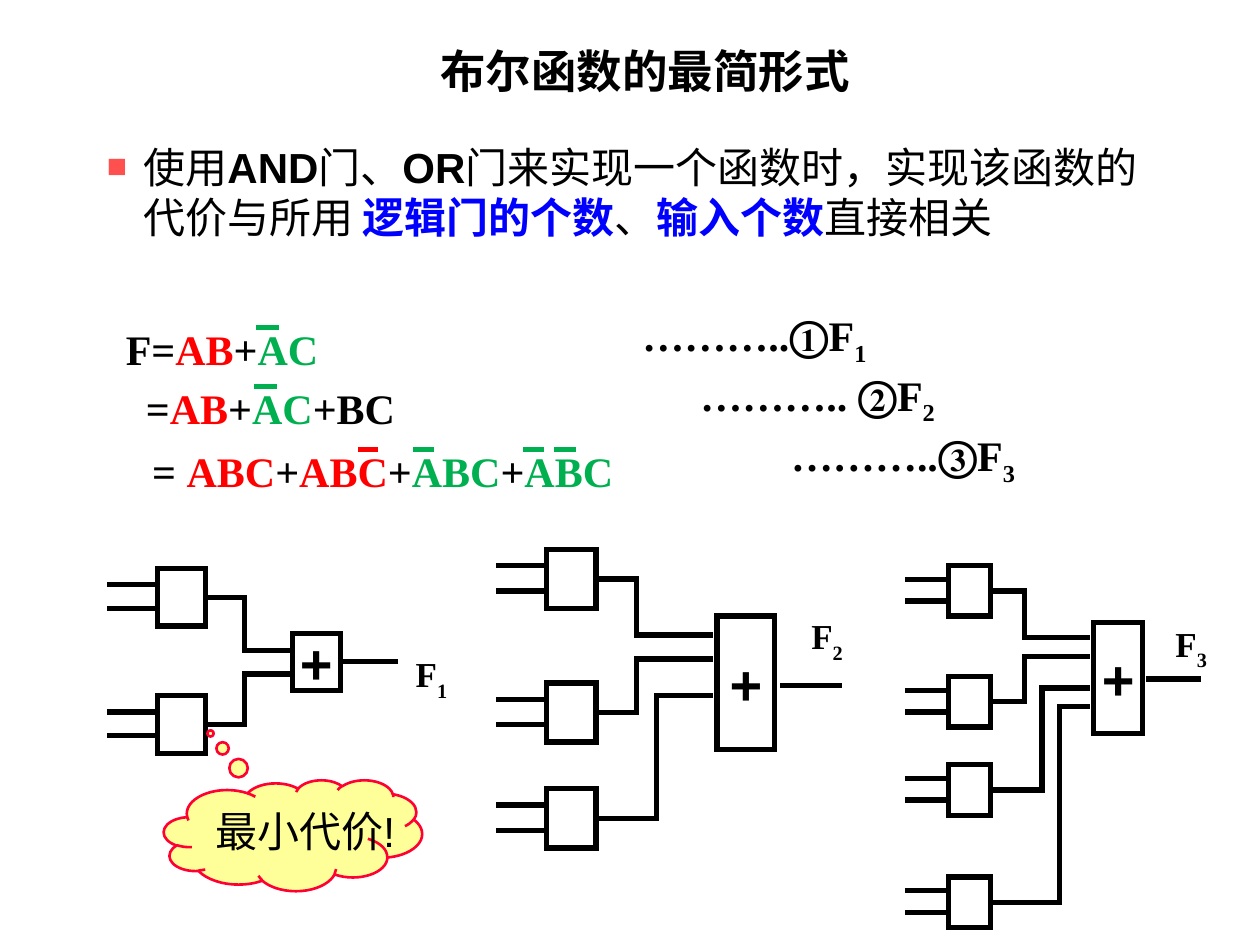
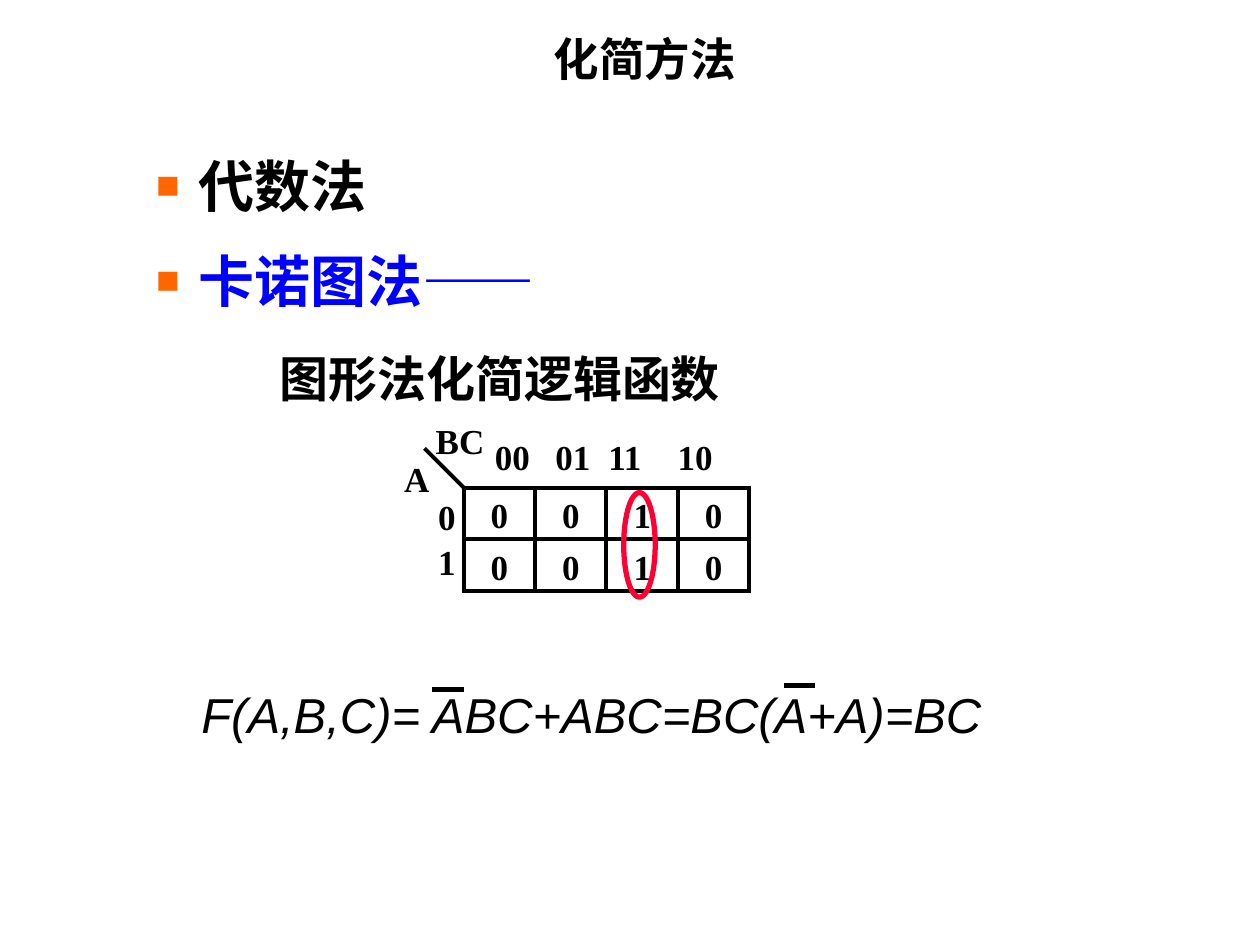
from lxml import etree
from pptx import Presentation
from pptx import util as u
from pptx.dml.color import RGBColor
from pptx.enum import shapes, text
from pptx.oxml.ns import qn

COLORS = {
    "ink": "000000", "red": "FF0000", "green": "00B050", "blue": "0000FF",
    "coral": "FF5050", "orange": "FF6600", "crimson": "FF0033", "cream": "FFFF99",
}
SANS, SERIF = "Arial", "Times New Roman"


def rgb(name):
    """Return the palette colour called name."""
    return RGBColor.from_string(COLORS[name])


def add_run(paragraph, words, size, font=SANS, color="ink", bold=False, italic=False, base=0):
    """Append one formatted run; base is the baseline shift in percent."""
    run = paragraph.add_run()
    run.text = words
    run.font.name, run.font.size = font, u.Pt(size)
    run.font.bold, run.font.italic = bold, italic
    run.font.color.rgb = rgb(color)
    if base:
        run._r.get_or_add_rPr().set("baseline", str(base * 1000))


def add_text(slide, box, runs, size, align=text.PP_ALIGN.LEFT, **style):
    """Add a one-paragraph text box; each run is (words, overrides)."""
    frame = slide.shapes.add_textbox(*map(u.Inches, box)).text_frame
    frame.word_wrap = True
    paragraph = frame.paragraphs[0]
    paragraph.alignment = align
    for words, changes in runs:
        add_run(paragraph, words, size, **{**style, **changes})
    return frame


def add_bullet(paragraph, indent, color, percent):
    """Give a paragraph a hanging square bullet."""
    props = paragraph._p.get_or_add_pPr()
    props.set("marL", str(u.Inches(indent)))
    props.set("indent", str(u.Inches(-indent)))
    tint = etree.SubElement(props, qn("a:buClr"))
    etree.SubElement(tint, qn("a:srgbClr")).set("val", COLORS[color])
    etree.SubElement(props, qn("a:buSzPct")).set("val", str(percent * 1000))
    etree.SubElement(props, qn("a:buFont")).set("typeface", SANS)
    etree.SubElement(props, qn("a:buChar")).set("char", "■")


def add_path(slide, points, color="ink", width=3):
    """Join successive points with square-ended straight lines."""
    for start, end in zip(points, points[1:]):
        line = slide.shapes.add_connector(
            shapes.MSO_CONNECTOR.STRAIGHT, *map(u.Inches, start + end))
        line.line.color.rgb = rgb(color)
        line.line.width = u.Pt(width)
        props = line._element.spPr
        props.find(qn("a:ln")).set("cap", "sq")
        etree.SubElement(props, qn("a:effectLst"))


def add_outline(slide, kind, box, color="ink", width=3, fill=None):
    """Add an outlined preset shape, hollow unless a fill is named."""
    shape = slide.shapes.add_shape(kind, *map(u.Inches, box))
    shape.shadow.inherit = False
    shape.line.color.rgb = rgb(color)
    shape.line.width = u.Pt(width)
    if fill:
        shape.fill.solid()
        shape.fill.fore_color.rgb = rgb(fill)
    else:
        shape.fill.background()
    return shape


def add_box(slide, box, width=3):
    """Add a hollow rectangle with sharp corners."""
    shape = add_outline(slide, shapes.MSO_SHAPE.RECTANGLE, box, width=width)
    outline = shape._element.spPr.find(qn("a:ln"))
    etree.SubElement(outline, qn("a:miter")).set("lim", "800000")
    return shape


def add_title(slide, box, words):
    """Write the centred slide title."""
    add_text(slide, box, [(words, {})], 26, text.PP_ALIGN.CENTER, bold=True)


def add_equation(slide, box, runs, bars, size=24, **style):
    """Write an equation with negation bars at (offset, drop, length, colour)."""
    add_text(slide, box, runs, size, **style)
    for offset, drop, length, color in bars:
        x, y = box[0] + offset, box[1] + drop
        add_path(slide, [(x, y), (x + length, y)], color)


def add_circuit(slide, origin, gate, pins, routes, entry, adder, output, label, index):
    """Draw AND gates routed to an OR gate; each route is (gate top, bus x, entry y)."""
    left, top = origin
    lead, width, height = gate

    def at(*points):
        return [(left + x, top + y) for x, y in points]

    for gate_top, bus, entry_y in routes:
        add_box(slide, (left + lead, top + gate_top, width, height))
        for pin in pins:
            add_path(slide, at((0, gate_top + pin), (lead, gate_top + pin)))
        middle = gate_top + height / 2
        add_path(slide, at((lead + width, middle), (bus, middle), (bus, entry_y),
                           (entry, entry_y)))

    x, y, adder_width, adder_height = adder
    plus = add_box(slide, (left + x, top + y, adder_width, adder_height)).text_frame
    plus.word_wrap = False
    plus.vertical_anchor = text.MSO_ANCHOR.MIDDLE
    plus.paragraphs[0].alignment = text.PP_ALIGN.CENTER
    add_run(plus.paragraphs[0], "+", 32, bold=True)

    start, end, level = output
    add_path(slide, at((start, level), (end, level)))
    add_text(slide, (left + label[0], top + label[1], 0.58, 0.43),
             [("F", {}), (index, {"base": -30})], 20, font=SERIF, bold=True)


def add_cloud(slide, left, top):
    """Draw the thought cloud that marks the cheapest circuit."""
    cloud = add_outline(slide, shapes.MSO_SHAPE.CLOUD_CALLOUT,
                        (left, top, 2.05, 0.88), "crimson", 1.5, "cream")
    cloud.adjustments[0], cloud.adjustments[1] = -0.319, -0.92
    add_text(slide, (left + 0.31, top + 0.15, 1.65, 0.5), [("最小代价!", {})], 24)


def add_forms(slide):
    """Write the three equivalent forms of F and their numbers."""
    red, green = {"color": "red"}, {"color": "green"}
    plus = ("+", {})
    forms = [
        ((0.9, 2.52, 1.86, 0.5),
         [("F=", {}), ("AB", red), plus, ("AC", green)],
         [(1.15, 0.08, 0.14, "green")]),
        ((1.06, 2.99, 2.52, 0.5),
         [("=", {}), ("AB", red), plus, ("AC", green), ("+BC", {})],
         [(0.98, 0.08, 0.14, "green")]),
        ((1.11, 3.49, 3.94, 0.5),
         [("= ", {}), ("ABC", red), plus, ("ABC", red), plus,
          ("ABC", green), plus, ("ABC", green)],
         [(1.75, 0.08, 0.12, "red"), (2.19, 0.08, 0.12, "green"),
          (3.06, 0.08, 0.13, "green"), (3.31, 0.08, 0.13, "green")]),
    ]
    for box, runs, bars in forms:
        add_equation(slide, box, runs, bars, font=SERIF, bold=True)
    numbers = [(5, 2.41, "………..①F"), (5.46, 2.88, "……….. ②F"), (6.18, 3.36, "………..③F")]
    for index, (left, top, words) in enumerate(numbers, 1):
        add_text(slide, (left, top, 3, 0.5), [(words, {}), (str(index), {"base": -25})],
                 24, font=SERIF, bold=True)


def add_karnaugh_map(slide, left, top):
    """Draw the Karnaugh map whose grid starts at left, top."""
    cell_width, cell_height = 0.567, 0.41
    values = ["0010", "0010"]
    right, bottom = left + 4 * cell_width, top + 2 * cell_height
    for row, digits in enumerate(values):
        for column, digit in enumerate(digits):
            cell = add_box(slide, (left + column * cell_width, top + row * cell_height,
                                   cell_width, cell_height), 2.25).text_frame
            cell.vertical_anchor = text.MSO_ANCHOR.TOP
            cell.paragraphs[0].alignment = text.PP_ALIGN.CENTER
            add_run(cell.paragraphs[0], digit, 20, SERIF, bold=True)
    for row in range(3):
        y = top + row * cell_height
        add_path(slide, [(left, y), (right, y)], width=2.25)
    for column in range(5):
        x = left + column * cell_width
        add_path(slide, [(x, top), (x, bottom)], width=2.25)

    add_path(slide, [(left - 0.3, top - 0.3), (left, top)], width=2.25)
    headings = [(0.15, -0.46, "00"), (0.63, -0.46, "01"), (1.05, -0.46, "11"),
                (1.6, -0.46, "10"), (-0.57, -0.29, "A"), (-0.32, -0.59, "BC")]
    for x, y, words in headings:
        add_text(slide, (left + x, top + y, 0.69, 0.43), [(words, {})],
                 20, font=SERIF, bold=True)
    row_labels = add_text(slide, (left - 0.3, top + 0.12, 0.34, 0.7), [("0", {})],
                          20, font=SERIF, bold=True)
    second = row_labels.add_paragraph()
    second.space_before = u.Pt(10)
    add_run(second, "1", 20, SERIF, bold=True)
    for paragraph in row_labels.paragraphs:
        paragraph.line_spacing = 0.65
    add_outline(slide, shapes.MSO_SHAPE.OVAL,
                (left + 1.27, top + 0.04, 0.25, 0.83), "crimson")


def build_minimal_form(slide):
    """Compare the cost of three circuits for one function."""
    add_title(slide, (1.54, 0.29, 7.16, 0.53), "布尔函数的最简形式")
    bold, key = {"bold": True}, {"bold": True, "color": "blue"}
    cost = add_text(slide, (0.75, 1.07, 8.58, 0.91), [
        ("使用", {}), ("AND", bold), ("门、", {}), ("OR", bold),
        ("门来实现一个函数时，实现该函数的代价与所用 ", {}),
        ("逻辑门的个数", key), ("、", {}), ("输入个数", key), ("直接相关", {})], 24)
    add_bullet(cost.paragraphs[0], 0.29, "coral", 80)
    add_forms(slide)
    add_circuit(slide, (0.87, 4.51), (0.38, 0.38, 0.46), (0.13, 0.32),
                [(0, 1.07, 0.65), (1.01, 1.07, 0.84)],
                1.45, (1.45, 0.52, 0.38, 0.45), (1.83, 2.27, 0.74), (2.33, 0.62), "1")
    add_circuit(slide, (3.96, 4.36), (0.38, 0.39, 0.47), (0.13, 0.33),
                [(0, 1.09, 0.68), (1.06, 1.09, 0.87), (1.9, 1.25, 1.16)],
                1.68, (1.73, 0.53, 0.46, 1.06), (2.25, 2.7, 1.08), (2.38, 0.47), "2")
    add_circuit(slide, (7.2, 4.49), (0.33, 0.33, 0.4), (0.11, 0.28),
                [(0, 0.93, 0.57), (0.88, 0.93, 0.72), (1.58, 1.07, 0.97), (2.47, 1.21, 1.12)],
                1.43, (1.48, 0.45, 0.39, 0.88), (1.92, 2.31, 0.9), (2.03, 0.4), "3")
    add_cloud(slide, 1.3, 6.19)


def build_methods(slide):
    """List the simplification methods and show a Karnaugh map."""
    methods = add_text(slide, (1.14, 1.15, 4.57, 1.45), [("代数法", {})],
                       32, font=SERIF, bold=True)
    karnaugh = methods.add_paragraph()
    karnaugh.space_before = u.Pt(16)
    add_run(karnaugh, "卡诺图法——", 32, SERIF, "blue", bold=True)
    for paragraph in methods.paragraphs:
        add_bullet(paragraph, 0.34, "orange", 70)
    add_title(slide, (1.22, 0.2, 7.8, 0.53), "化简方法")
    add_text(slide, (2.12, 2.72, 4.85, 0.57), [("图形法化简逻辑函数", {})], 28, bold=True)
    add_karnaugh_map(slide, 3.68, 3.87)
    add_equation(slide, (1.5, 5.38, 6.92, 0.57), [("F(A,B,C)= ABC+ABC=BC(A+A)=BC", {})],
                 [(1.95, 0.09, 0.21, "ink"), (4.74, 0.06, 0.21, "ink")], 28, italic=True)


def main():
    """Build and save the presentation."""
    deck = Presentation()
    deck.slide_width, deck.slide_height = u.Inches(10), u.Inches(7.5)
    for build in (build_minimal_form, build_methods):
        build(deck.slides.add_slide(deck.slide_layouts[6]))
    deck.save("out.pptx")


if __name__ == "__main__":
    main()
